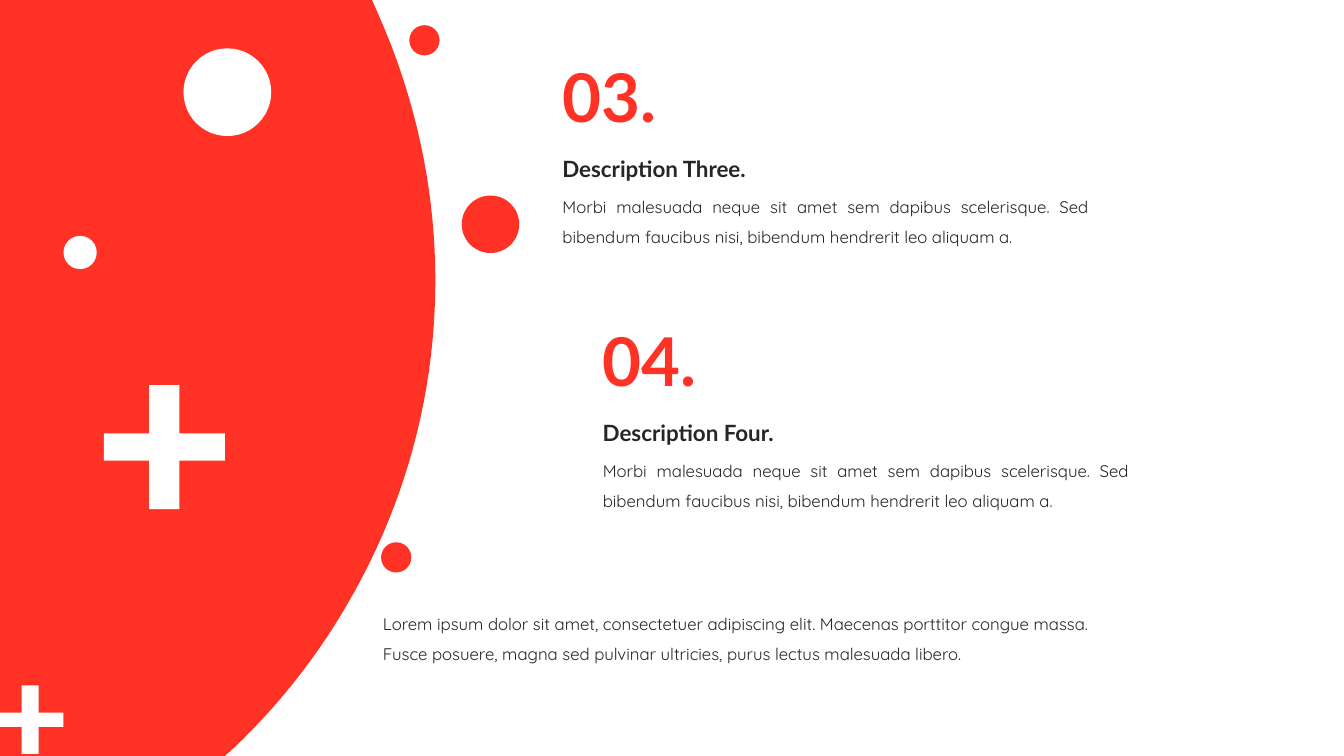
from dataclasses import dataclass

from pptx import Presentation
from pptx.dml.color import RGBColor
from pptx.enum.shapes import MSO_SHAPE
from pptx.enum.text import MSO_ANCHOR, MSO_AUTO_SIZE, PP_ALIGN
from pptx.shapes.autoshape import Shape
from pptx.slide import Slide
from pptx.util import Inches, Pt

COLORS = {"red": "FF3225", "white": "FFFFFF", "ink": "262626"}
Point = tuple[float, float]


@dataclass
class Dot:
    left: float
    top: float
    size: float
    color: str


@dataclass
class Plus:
    left: float
    top: float
    width: float
    height: float
    stem: float
    bar: float


@dataclass
class Item:
    left: float
    top: float
    number: str
    title: str


DOTS = [
    Dot(4.06, 0.25, 0.3, "red"),
    Dot(4.58, 1.94, 0.57, "red"),
    Dot(3.78, 5.38, 0.3, "red"),
    Dot(1.82, 0.48, 0.87, "white"),
    Dot(0.63, 2.34, 0.33, "white"),
]
PLUSES = [
    Plus(-0.03, 6.8, 0.66, 0.68, 0.17, 0.14),
    Plus(1.03, 3.82, 1.2, 1.23, 0.3, 0.27),
]
ITEMS = [
    Item(5.48, 0.5, "03.", "Description Three."),
    Item(5.88, 3.12, "04.", "Description Four."),
]
BODY = (
    "Morbi malesuada neque sit amet sem dapibus scelerisque. Sed "
    "bibendum faucibus nisi, bibendum hendrerit leo aliquam a."
)
FOOTER = (
    "Lorem ipsum dolor sit amet, consectetuer adipiscing elit. "
    "Maecenas porttitor congue massa. Fusce posuere, magna sed pulvinar "
    "ultricies, purus lectus malesuada libero."
)


def paint(shape: Shape, color: str) -> None:
    shape.shadow.inherit = False
    shape.fill.solid()
    shape.fill.fore_color.rgb = RGBColor.from_string(COLORS[color])
    shape.line.fill.background()


def add_outline(slide: Slide, points: list[Point], color: str) -> None:
    first, *rest = [(Inches(x), Inches(y)) for x, y in points]
    builder = slide.shapes.build_freeform(*first)
    builder.add_line_segments(rest, close=True)
    paint(builder.convert_to_shape(), color)


def bezier(a: Point, b: Point, c: Point, d: Point, steps: int = 40) -> list[Point]:
    """Return points along a cubic curve, both ends included."""
    points = []
    for step in range(steps + 1):
        t = step / steps
        u = 1 - t
        weights = (u**3, 3 * u * u * t, 3 * u * t * t, t**3)
        x, y = (sum(w * p[k] for w, p in zip(weights, (a, b, c, d))) for k in (0, 1))
        points.append((x, y))
    return points


def add_blob(slide: Slide) -> None:
    side = bezier((3.76, 0.16), (4.57, 1.99), (4.53, 4.16), (3.43, 6.02))
    base = bezier((3.43, 6.02), (3.12, 6.55), (2.74, 7.02), (2.32, 7.42))
    points = [(0, 0), (3.69, 0), *side, *base[1:], (2.23, 7.5), (0, 7.5)]
    add_outline(slide, points, "red")


def add_dot(slide: Slide, dot: Dot) -> None:
    box = [Inches(n) for n in (dot.left, dot.top, dot.size, dot.size)]
    paint(slide.shapes.add_shape(MSO_SHAPE.OVAL, *box), dot.color)


def add_plus(slide: Slide, plus: Plus) -> None:
    x0, y0 = plus.left, plus.top
    x3, y3 = x0 + plus.width, y0 + plus.height
    x1, y1 = x0 + (plus.width - plus.stem) / 2, y0 + (plus.height - plus.bar) / 2
    x2, y2 = x1 + plus.stem, y1 + plus.bar
    points = [
        (x1, y0), (x2, y0), (x2, y1), (x3, y1), (x3, y2), (x2, y2),
        (x2, y3), (x1, y3), (x1, y2), (x0, y2), (x0, y1), (x1, y1),
    ]
    add_outline(slide, points, "white")


def add_text(
    slide: Slide,
    text: str,
    left: float,
    top: float,
    width: float,
    height: float,
    *,
    size: int = 12,
    font: str = "Quicksand",
    color: str = "ink",
    bold: bool = False,
    align: PP_ALIGN = PP_ALIGN.LEFT,
    anchor: MSO_ANCHOR = MSO_ANCHOR.TOP,
    spacing: float = 1.5,
) -> None:
    box = slide.shapes.add_textbox(*(Inches(n) for n in (left, top, width, height)))
    frame = box.text_frame
    frame.word_wrap = True
    frame.auto_size = MSO_AUTO_SIZE.SHAPE_TO_FIT_TEXT
    frame.vertical_anchor = anchor
    para = frame.paragraphs[0]
    para.alignment = align
    para.line_spacing = spacing
    run = para.add_run()
    run.text = text
    run.font.name = font
    run.font.size = Pt(size)
    run.font.bold = bold
    run.font.color.rgb = RGBColor.from_string(COLORS[color])


def add_item(slide: Slide, item: Item) -> None:
    x, y = item.left, item.top
    add_text(slide, BODY, x, y + 1.3, 5.42, 0.71, align=PP_ALIGN.JUSTIFY)
    add_text(slide, item.title, x, y + 0.86, 3.14, 0.45, size=16, font="Lato", bold=True)
    add_text(slide, item.number, x, y, 1.43, 0.91, size=48, font="Lato",
             color="red", bold=True, spacing=1.0)


def main() -> None:
    deck = Presentation()
    deck.slide_width, deck.slide_height = Inches(13.33), Inches(7.5)
    slide = deck.slides.add_slide(deck.slide_layouts[6])
    add_blob(slide)
    for item in ITEMS:
        add_item(slide, item)
    add_text(slide, FOOTER, 3.7, 5.93, 7.6, 0.71, anchor=MSO_ANCHOR.MIDDLE)
    for dot in DOTS:
        add_dot(slide, dot)
    for plus in PLUSES:
        add_plus(slide, plus)
    deck.save("out.pptx")


if __name__ == "__main__":
    main()
